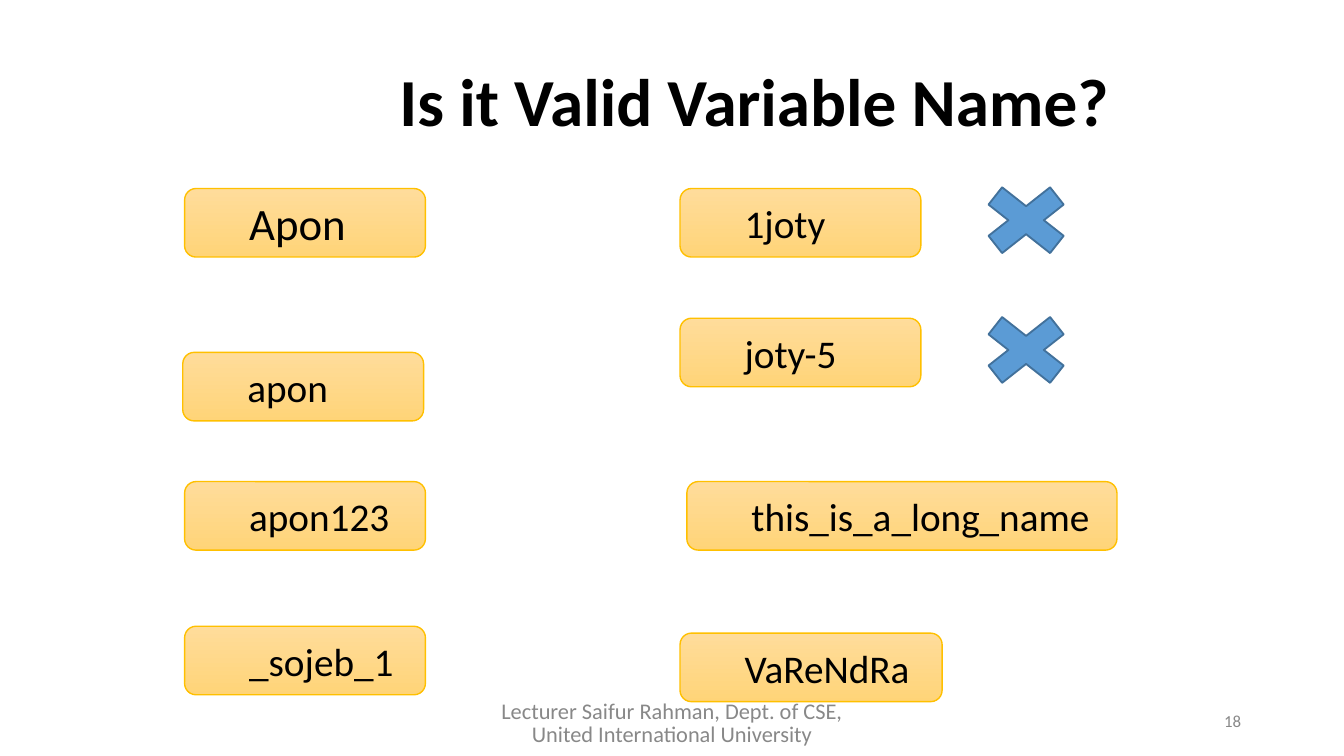
from pptx import Presentation
from pptx.util import Pt
from pptx.dml.color import RGBColor
from pptx.enum import shapes as sh, text as tx

BLACK = RGBColor(0, 0, 0)
GRAY = RGBColor(0x88, 0x88, 0x88)
LIGHT = RGBColor(0xFF, 0xDC, 0x9B)
DEEP = RGBColor(0xFF, 0xD4, 0x78)
GOLD = RGBColor(0xFF, 0xC0, 0x00)
BLUE = RGBColor(0x5B, 0x9B, 0xD5)
NAVY = RGBColor(0x42, 0x71, 0x9B)
LEFT, MID, RIGHT = tx.PP_ALIGN.LEFT, tx.PP_ALIGN.CENTER, tx.PP_ALIGN.RIGHT
PAD = {"margin_left": Pt(5.4), "margin_right": Pt(5.4),
       "margin_top": Pt(2.7), "margin_bottom": Pt(2.7),
       "vertical_anchor": tx.MSO_ANCHOR.MIDDLE, "word_wrap": True}


def write(box, words, size, color, align, bold=False, space=None, **frame):
    body = box.text_frame
    for key, val in {**PAD, **frame}.items():
        setattr(body, key, val)
    body.text = words
    para = body.paragraphs[0]
    para.alignment = align
    para.line_spacing = space
    font = para.runs[0].font
    for key, val in {"name": "Calibri", "size": Pt(size), "bold": bold}.items():
        setattr(font, key, val)
    font.color.rgb = color


def draw(kind, x, y, w, h, edge, width):
    shape = slide.shapes.add_shape(kind, Pt(x), Pt(y), Pt(w), Pt(h))
    shape.shadow.inherit = False
    shape.line.color.rgb = edge
    shape.line.width = Pt(width)
    return shape


deck = Presentation()
deck.slide_width, deck.slide_height = Pt(720), Pt(405)
slide = deck.slides.add_slide(deck.slide_layouts[5])

# Title
title = slide.shapes.title
for key, val in {"left": 141, "top": 26.6, "width": 526.3, "height": 59}.items():
    setattr(title, key, Pt(val))
write(title, "Is it Valid Variable Name?", 36, BLACK, MID, True, 0.9)

# Variable names: text, left, top, width, text size
names = [
    ("Apon", 98.9, 101, 129, 24),
    ("apon", 97.9, 188.8, 129, 21),
    ("apon123", 98.9, 258, 129, 21),
    ("_sojeb_1", 98.9, 335.5, 129, 21),
    ("1joty", 364.3, 101, 129, 21),
    ("joty-5", 364.3, 170.5, 129, 21),
    ("this_is_a_long_name", 368, 258, 230.4, 21),
    ("VaReNdRa", 364.3, 339.2, 140.4, 21),
]
for word, x, y, w, size in names:
    card = draw(sh.MSO_SHAPE.ROUNDED_RECTANGLE, x, y, w, 36.7, GOLD, 0.75)
    card.fill.gradient()
    card.fill.gradient_angle = 270
    for stop, color in zip(card.fill.gradient_stops, (LIGHT, DEEP)):
        stop.color.rgb = color
        
    write(card, word, size, BLACK, LEFT, margin_left=Pt(32.8))

# Crosses beside the invalid names
for y in (93, 162.5):
    cross = draw(sh.MSO_SHAPE.MATH_MULTIPLY, 518, y, 63.4, 50, NAVY, 1)
    cross.fill.solid()
    cross.fill.fore_color.rgb = BLUE

# Slide number and footer
page = slide.shapes.add_textbox(Pt(508.3), Pt(375.3), Pt(162), Pt(21.6))
write(page, "18", 9, GRAY, RIGHT)
foot = slide.shapes.add_textbox(Pt(254.2), Pt(375.3), Pt(211.7), Pt(24.8))
write(foot, "Lecturer Saifur Rahman, Dept. of CSE, United International University",
      12, GRAY, MID, space=Pt(12.4), vertical_anchor=tx.MSO_ANCHOR.TOP,
      margin_left=0, margin_right=0, margin_top=0, margin_bottom=0)

deck.save("out.pptx")
